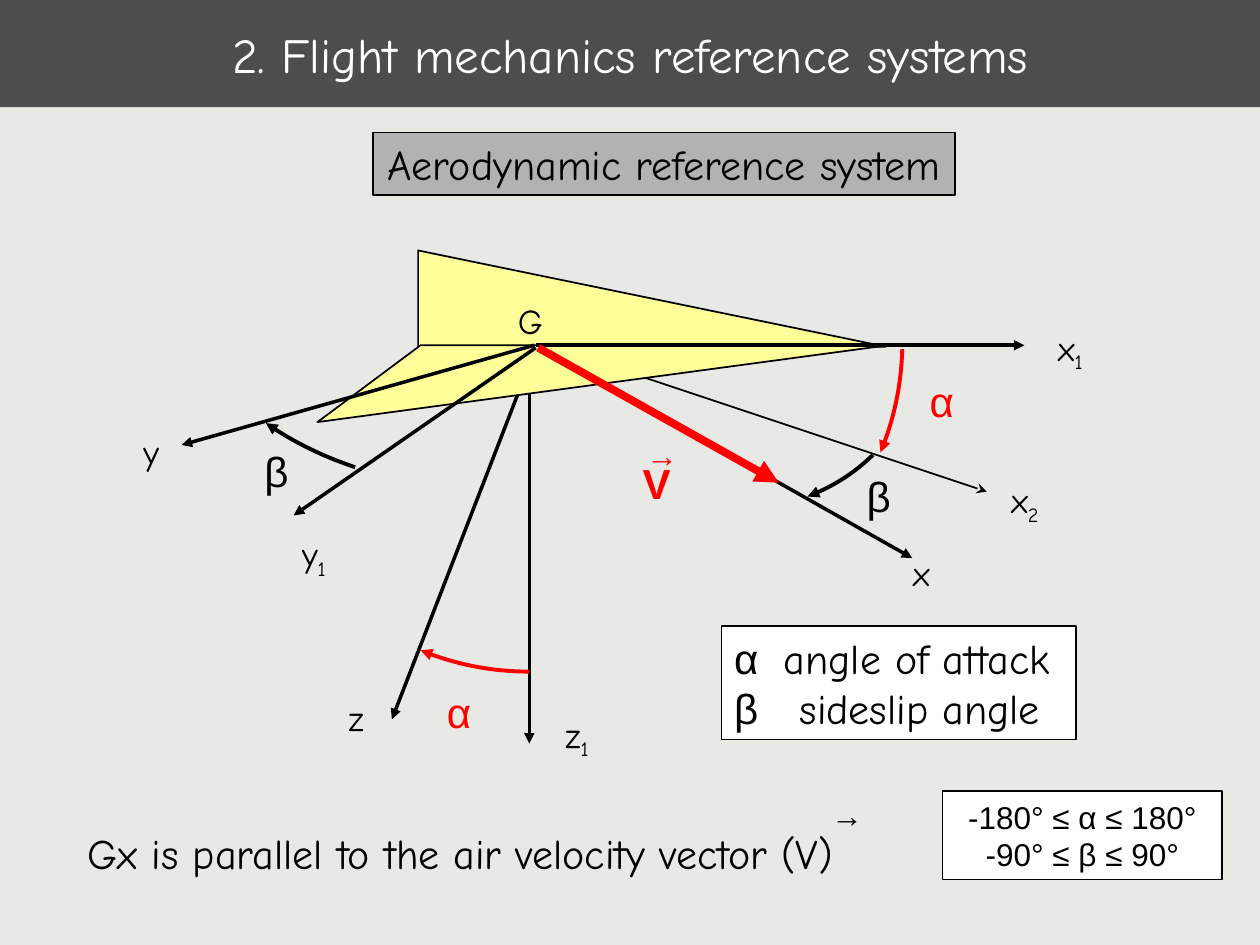
from lxml.etree import SubElement
from pptx import Presentation
from pptx.dml.color import RGBColor
from pptx.enum.shapes import MSO_CONNECTOR, MSO_SHAPE
from pptx.enum.text import MSO_ANCHOR, MSO_AUTO_SIZE, PP_ALIGN
from pptx.oxml.ns import qn
from pptx.util import Cm, Pt

BACKGROUND = RGBColor(0xE8, 0xE8, 0xE4)
TITLE_GRAY = RGBColor(0x4D, 0x4D, 0x4D)
BOX_GRAY = RGBColor(0xB2, 0xB2, 0xB2)
YELLOW = RGBColor(0xFF, 0xFF, 0x99)
RED = RGBColor(0xFF, 0x00, 0x00)
BLACK = RGBColor(0x00, 0x00, 0x00)
WHITE = RGBColor(0xFF, 0xFF, 0xFF)
COMIC, ARIAL = "Comic Neue", "Arial"


def style_line(shape, color, width, head=None):
    """Set the outline, an optional arrowhead at the end, and no shadow."""
    shape.line.color.rgb = color
    shape.line.width = Pt(width)
    properties = shape._element.spPr
    if head:
        SubElement(properties.find(qn("a:ln")), qn("a:tailEnd"), type=head)
    SubElement(properties, qn("a:effectLst"))


def add_run(paragraph, text, font, size, color=BLACK, bold=False):
    run = paragraph.add_run()
    run.text = text
    run.font.name = font
    run.font.size = Pt(size)
    run.font.color.rgb = color
    run.font.bold = bold
    return run


presentation = Presentation()
presentation.slide_width, presentation.slide_height = Cm(25.4), Cm(19.05)
slide = presentation.slides.add_slide(presentation.slide_layouts[5])
slide.background.fill.solid()
slide.background.fill.fore_color.rgb = BACKGROUND
shapes = slide.shapes

# Title bar
title = shapes.title
title.left, title.top, title.width, title.height = Cm(0), Cm(0), Cm(25.4), Cm(2.16)
title.fill.solid()
title.fill.fore_color.rgb = TITLE_GRAY
title.text_frame.vertical_anchor = MSO_ANCHOR.MIDDLE
title_paragraph = title.text_frame.paragraphs[0]
title_paragraph.alignment = PP_ALIGN.CENTER
add_run(title_paragraph, "2. Flight mechanics reference systems", COMIC, 28, WHITE)

# Axes behind the aircraft, the aircraft itself, then the axes in front
axes_behind = [
    ((10.77, 7.09), (7.9, 14.5), BLACK, 2, "triangle"),     # z
    ((10.67, 7.06), (10.67, 14.99), BLACK, 2, "triangle"),  # z1
    ((10.8, 6.96), (18.39, 11.25), BLACK, 2, "triangle"),   # x
    ((10.95, 6.93), (19.89, 9.91), BLACK, 1, "stealth"),    # x2
]
aircraft = [
    [(8.43, 5.05), (8.43, 6.99), (17.86, 6.99)],  # fin
    [(6.4, 8.51), (8.48, 6.96), (17.91, 6.96)],   # wing
]
axes_in_front = [
    ((10.8, 6.96), (20.65, 6.96), BLACK, 2, "triangle"),  # x1
    ((10.8, 7.01), (5.92, 10.39), BLACK, 2, "triangle"),  # y1
    ((10.77, 6.96), (3.66, 8.97), BLACK, 2, "triangle"),  # y
    ((10.85, 7.01), (15.7, 9.73), RED, 4.5, "triangle"),  # velocity
]
for axes, triangles in ((axes_behind, aircraft), (axes_in_front, [])):
    for start, end, color, width, head in axes:
        axis = shapes.add_connector(
            MSO_CONNECTOR.STRAIGHT, *[Cm(value) for value in start + end])
        style_line(axis, color, width, head)
    for corners in triangles:
        points = [(Cm(x), Cm(y)) for x, y in corners]
        builder = shapes.build_freeform(*points[0])
        builder.add_line_segments(points[1:], close=True)
        triangle = builder.convert_to_shape()
        triangle.fill.solid()
        triangle.fill.fore_color.rgb = YELLOW
        style_line(triangle, BLACK, 1)

# Angle arcs: start, control point and end of a quadratic curve
ARC_STEPS = 16
arcs = [
    ((7.16, 9.42), (6.17, 9.09), (5.36, 8.53), BLACK),
    ((17.6, 9.17), (17.04, 9.72), (16.28, 10.01), BLACK),
    ((18.19, 7.04), (18.16, 8.13), (17.75, 9.12), RED),
    ((10.67, 13.54), (9.53, 13.54), (8.48, 13.11), RED),
]
for start, control, end, color in arcs:
    points = []
    for step in range(ARC_STEPS + 1):
        t = step / ARC_STEPS
        points.append([
            Cm((1 - t) ** 2 * a + 2 * t * (1 - t) * b + t ** 2 * c)
            for a, b, c in zip(start, control, end)])
    builder = shapes.build_freeform(*points[0])
    builder.add_line_segments(points[1:], close=False)
    arc = builder.convert_to_shape()
    arc.fill.background()
    style_line(arc, color, 2.25, "triangle")

# Axis labels: left, top, width, letter, subscript
axis_labels = [
    (21.08, 6.45, 1.15, "x", "1"),
    (20.14, 9.53, 1.2, "x", "2"),
    (18.16, 11, 0.84, "x", ""),
    (5.84, 10.62, 1.1, "y", "1"),
    (2.64, 8.56, 0.81, "y", ""),
    (11.15, 14.25, 1.1, "z", "1"),
    (6.78, 13.92, 0.81, "z", ""),
    (10.19, 5.92, 1.02, "G", ""),
]
for left, top, width, letter, subscript in axis_labels:
    height = 1.22 if subscript else 1.09
    label = shapes.add_textbox(Cm(left), Cm(top), Cm(width), Cm(height))
    label.text_frame.word_wrap = False
    label.text_frame.auto_size = MSO_AUTO_SIZE.SHAPE_TO_FIT_TEXT
    paragraph = label.text_frame.paragraphs[0]
    add_run(paragraph, letter, COMIC, 20)
    if subscript:
        run = add_run(paragraph, subscript, COMIC, 20)
        run._r.get_or_add_rPr().set("baseline", "-25000")

# Angle labels
for left, top, width, letter, color in [
    (18.49, 7.44, 1.04, "α", RED),
    (8.76, 13.72, 1.04, "α", RED),
    (5.08, 8.86, 0.97, "β", BLACK),
    (17.22, 9.37, 0.97, "β", BLACK),
]:
    label = shapes.add_textbox(Cm(left), Cm(top), Cm(width), Cm(1.27))
    label.text_frame.word_wrap = False
    add_run(label.text_frame.paragraphs[0], letter, ARIAL, 24, color)

# Velocity symbol and closing statement, each with its vector arrow
for left, top, width, text, font, color, bold, arrow_left, arrow_top in [
    (12.7, 9.09, 1.07, "V", ARIAL, RED, True, 13.03, 8.79),
    (1.47, 16.56, 15.62, "Gx is parallel to the air velocity vector (V)",
     COMIC, BLACK, False, 16.76, 16.05),
]:
    arrow = shapes.add_textbox(Cm(arrow_left), Cm(arrow_top), Cm(0.51), Cm(0.76))
    frame = arrow.text_frame
    frame.margin_left = frame.margin_right = frame.margin_top = frame.margin_bottom = 0
    statement = shapes.add_textbox(Cm(left), Cm(top), Cm(width), Cm(1.27))
    statement.text_frame.vertical_anchor = MSO_ANCHOR.MIDDLE
    for box in (arrow, statement):
        box.text_frame.word_wrap = False
        box.text_frame.paragraphs[0].alignment = PP_ALIGN.CENTER
    add_run(frame.paragraphs[0], "→", ARIAL, 18, color, True)
    add_run(statement.text_frame.paragraphs[0], text, font, 24, color, bold)

# Boxes: place, fill, line width, wrap, alignment, paragraphs of (tab stop, runs)
boxes = [
    ((7.52, 2.67, 11.73, 1.27), BOX_GRAY, 1, False, PP_ALIGN.CENTER,
     [(None, [("Aerodynamic reference system", COMIC, 24)])]),
    ((14.55, 12.62, 7.14, 2.29), WHITE, 0.75, False, PP_ALIGN.LEFT,
     [(1, [("α", ARIAL, 24), ("\tangle of attack", COMIC, 24)]),
      (1.32, [("β", ARIAL, 24), ("\tsideslip angle", COMIC, 24)])]),
    ((19, 15.95, 5.64, 1.78), WHITE, 1, True, PP_ALIGN.CENTER,
     [(None, [("-180° ≤ α ≤ 180°", ARIAL, 18)]),
      (None, [("-90° ≤ β ≤ 90°", ARIAL, 18)])]),
]
for place, fill, width, wrap, alignment, paragraphs in boxes:
    box = shapes.add_shape(MSO_SHAPE.RECTANGLE, *[Cm(value) for value in place])
    box.fill.solid()
    box.fill.fore_color.rgb = fill
    style_line(box, BLACK, width)
    frame = box.text_frame
    frame.word_wrap = wrap
    frame.vertical_anchor = MSO_ANCHOR.MIDDLE
    for index, (tab_stop, runs) in enumerate(paragraphs):
        paragraph = frame.add_paragraph() if index else frame.paragraphs[0]
        paragraph.alignment = alignment
        if tab_stop:
            tabs = SubElement(paragraph._p.get_or_add_pPr(), qn("a:tabLst"))
            SubElement(tabs, qn("a:tab"), pos=str(Cm(tab_stop)), algn="l")
        for text, font, size in runs:
            add_run(paragraph, text, font, size)

presentation.save("out.pptx")
